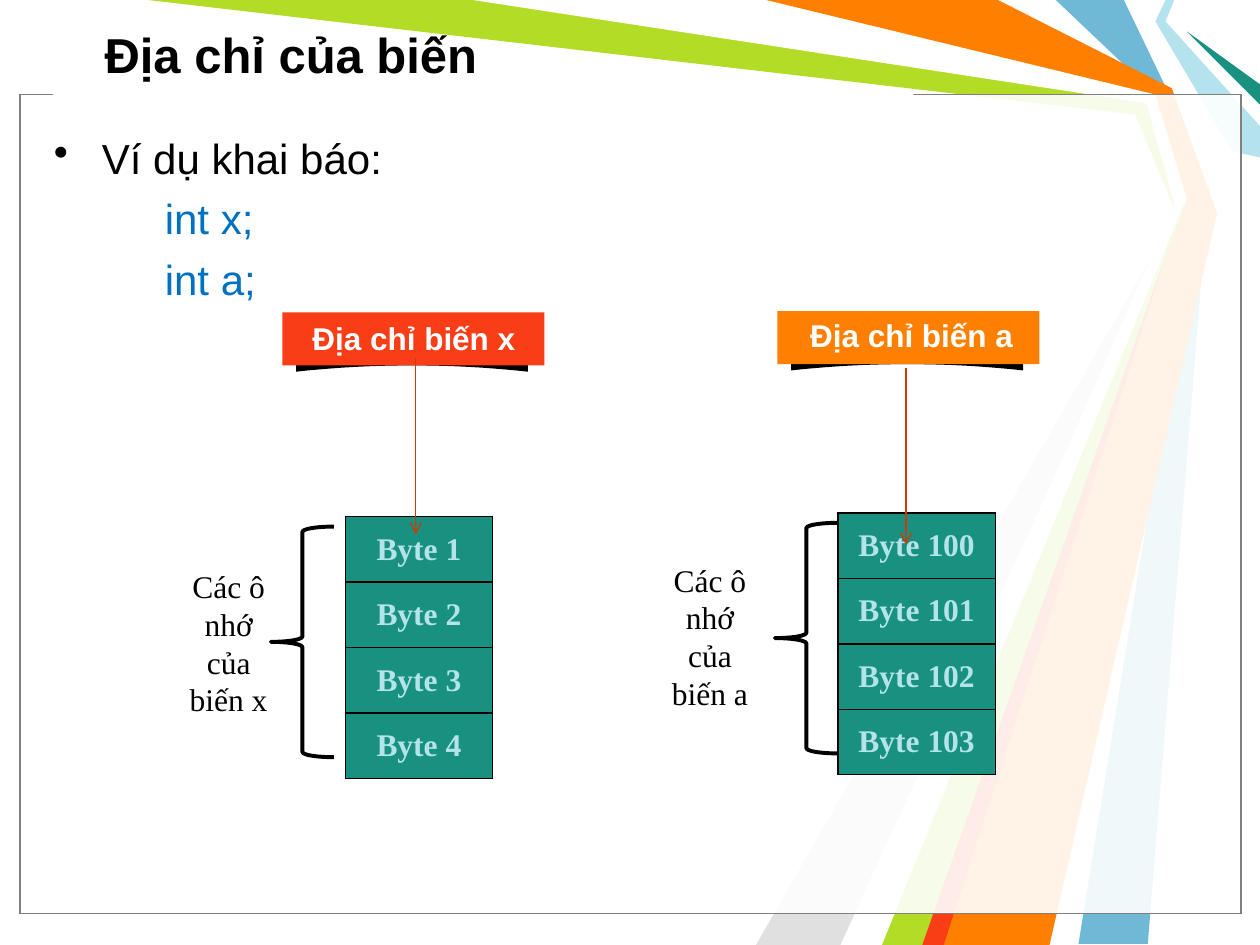
"""Build a slide showing the memory addresses of two int variables."""
import pptx
import pptx.dml.color
import pptx.enum.shapes
import pptx.enum.text
import pptx.oxml
import pptx.oxml.ns
import pptx.util

Inches, Pt = pptx.util.Inches, pptx.util.Pt
ALIGN = pptx.enum.text.PP_ALIGN
ANCHOR = pptx.enum.text.MSO_ANCHOR
SHAPE = pptx.enum.shapes.MSO_SHAPE
qn = pptx.oxml.ns.qn
NS = pptx.oxml.ns.nsdecls("a")

TITLE = "Địa chỉ của biến"
INTRO = "Ví dụ khai báo:"
CODE = ["int x;", "int a;"]

RAYS = [
    ("6FB9D7", [(8.92, 0), (9.29, 0.77), (9.58, 1.67), (9.11, 7.49), (8.56, 7.49),
                (9.5, 1.67), (9.17, 0.75), (8.38, 0)]),
    ("B3DC27", [(1.17, 0), (3.83, 0), (9.14, 0.78), (9.42, 1.69), (7.42, 7.5),
                (6.92, 7.5), (9.35, 1.73), (9.01, 0.91)]),
    ("E0E0E0", [(6.67, 7.5), (9.27, 1.81), (6, 7.5)]),
    ("FFFFFF", [(3.75, 0), (9.1, 0.82), (9.32, 1.62), (6.75, 7.5), (7, 7.5),
                (9.41, 1.58), (9.17, 0.75), (6, 0)]),
    ("B4E3EE", [(9.25, 0), (9.17, 0.17), (9.78, 1.2), (10, 1.25), (10, 1),
                (9.25, 0.17), (9.32, 0)]),
    ("189180", [(10, 0.83), (9.42, 0.25), (10, 0.67)]),
    ("FF7F00", [(6.08, 0), (7.92, 0), (9.3, 0.7), (9.66, 1.69), (8.33, 7.5),
                (7.33, 7.5), (9.42, 1.58), (9.17, 0.75)]),
    ("F93D17", [(7.32, 7.5), (9.32, 1.83), (7.49, 7.5)]),
]
FRAMES = ["000000", "808080"]

VARS = [
    dict(name="x", first=1, fill="F93D17", tag=(2.24, 2.48), label=(2.37, 2.48),
         table=(2.74, 4.1, 1.17), brace=(2.15, 4.18), note=(1.4, 4.45),
         arrow=(3.3, 2.84)),
    dict(name="a", first=100, fill="FF7F00", tag=(6.17, 2.47), label=(6.32, 2.46),
         table=(6.65, 4.07, 1.25), brace=(6.15, 4.15), note=(5.22, 4.4),
         arrow=(7.19, 2.92)),
]
BYTES, ROW, DROP = 4, 0.52, 1.4

HEAD = dict(name="Arial", size=Pt(28), bold=True)
BODY = dict(name="Arial", size=Pt(24), bold=False)
TAG = dict(name="Arial", size=Pt(18), bold=True)
NOTE = dict(name="Times New Roman", size=Pt(18), bold=False)
CELL = dict(name="Times New Roman", size=Pt(18), bold=True)

deck = pptx.Presentation()
deck.slide_width, deck.slide_height = Inches(10), Inches(7.5)
slide = deck.slides.add_slide(deck.slide_layouts[5])
shapes = slide.shapes


def color(code):
    """Turn a hex string into a colour."""
    return pptx.dml.color.RGBColor.from_string(code)


def paint(shape, fill=None, line=None, width=0.75):
    """Set fill and outline and drop the shadow."""
    shape.shadow.inherit = False
    if fill:
        shape.fill.solid()
        shape.fill.fore_color.rgb = color(fill)
    else:
        shape.fill.background()
    if line:
        shape.line.color.rgb = color(line)
        shape.line.width = Pt(width)
    else:
        shape.line.fill.background()
    return shape


def add(kind, box, **look):
    """Add a painted preset shape."""
    return paint(shapes.add_shape(kind, *map(Inches, box)), **look)


def outline(points, fill):
    """Add a closed polygon."""
    dots = [(Inches(x), Inches(y)) for x, y in points]
    pen = shapes.build_freeform(*dots[0])
    pen.add_line_segments(dots[1:], close=True)
    paint(pen.convert_to_shape(), fill)


def write(para, text, style, code, align=ALIGN.CENTER):
    """Put one styled run in a paragraph."""
    para.alignment = align
    run = para.add_run()
    run.text = text
    for key, value in style.items():
        setattr(run.font, key, value)
    run.font.color.rgb = color(code)


def textbox(box, anchor=ANCHOR.TOP, side=0.1):
    """Add a wrapping text box and return its frame."""
    frame = shapes.add_textbox(*map(Inches, box)).text_frame
    frame.word_wrap = True
    frame.vertical_anchor = anchor
    frame.margin_left = frame.margin_right = Inches(side)
    return frame


def ribbon(left, top):
    """Draw the curved dark strip under a tag."""
    mid, half = left + 1.03, 0.92
    steps = [1 - i / 10 for i in range(21)]
    curve = [(mid + half * u, top + 0.42 + 0.05 * u * u) for u in steps]
    peak = [(mid - half, top + 0.31), (mid, top + 0.26), (mid + half, top + 0.31)]
    outline(curve + peak, "000000")


def memory(left, top, width, first):
    """Add the table of byte cells."""
    size = map(Inches, (left, top, width, ROW * BYTES))
    table = shapes.add_table(BYTES, 1, *size).table
    table.first_row = table.horz_banding = False
    for i in range(BYTES):
        table.rows[i].height = Inches(ROW)
        cell = table.cell(i, 0)
        cell.vertical_anchor = ANCHOR.MIDDLE
        write(cell.text_frame.paragraphs[0], f"Byte {first + i}", CELL, "B4E3EE")
        props = cell._tc.get_or_add_tcPr()
        for side in "LRTB":
            props.append(pptx.oxml.parse_xml(
                f'<a:ln{side} {NS} w="12700"><a:solidFill><a:srgbClr val="000000"/>'
                f'</a:solidFill></a:ln{side}>'))
        cell.fill.solid()
        cell.fill.fore_color.rgb = color("189180")


def arrow(x, y):
    """Add a downward arrow."""
    ends = map(Inches, (x, y, x, y + DROP))
    link = shapes.add_connector(pptx.enum.shapes.MSO_CONNECTOR.STRAIGHT, *ends)
    link.line.color.rgb = color("D43700")
    link.line.width = Pt(0.75)
    link.line._get_or_add_ln().append(
        pptx.oxml.parse_xml(f'<a:tailEnd {NS} type="arrow"/>'))
    link._element.spPr.append(pptx.oxml.parse_xml(f"<a:effectLst {NS}/>"))


def backdrop():
    """Draw the coloured rays and the translucent frame."""
    for fill, points in RAYS:
        outline(points, fill)
    for line in FRAMES:
        pane = add(SHAPE.RECTANGLE, (0.16, 0.75, 9.69, 6.5), fill="FFFFFF", line=line)
        tint = pane._element.spPr.find(qn("a:solidFill")).find(qn("a:srgbClr"))
        tint.append(pptx.oxml.parse_xml(f'<a:alpha {NS} val="69000"/>'))
    add(SHAPE.RECTANGLE, (0.42, 0.74, 6.83, 0.17), fill="FFFFFF")


def heading():
    """Place the title and the declarations."""
    title = shapes.title
    title.left, title.top, title.width, title.height = map(
        Inches, (0.73, 0.08, 9.11, 0.69))
    title.text_frame.vertical_anchor = ANCHOR.MIDDLE
    write(title.text_frame.paragraphs[0], TITLE, HEAD, "000000", ALIGN.LEFT)
    shapes.element.append(title.element)
    frame = textbox((0.33, 1, 9.38, 6.17))
    for i, text in enumerate([INTRO] + CODE):
        para = frame.add_paragraph() if i else frame.paragraphs[0]
        write(para, text, BODY, "0070C0" if i else "000000", ALIGN.JUSTIFY)
        para.space_before = Pt(5.8)
        props = para._p.get_or_add_pPr()
        props.set("marL", str(Inches(0.88 if i else 0.38)))
        props.set("indent", str(Inches(0 if i else -0.38)))
        mark = "<a:buNone %s/>" if i else '<a:buChar %s char="•"/>'
        props.append(pptx.oxml.parse_xml(mark % NS))


backdrop()
heading()
for var in VARS:
    memory(*var["table"], var["first"])
    add(SHAPE.LEFT_BRACE, (*var["brace"], 0.5, 1.83), line="000000", width=2.25)
    note = textbox((*var["note"], 0.83, 1.31), side=0.05)
    write(note.paragraphs[0], f"Các ô nhớ của biến {var['name']}", NOTE, "000000")
    ribbon(*var["tag"])
    add(SHAPE.RECTANGLE, (*var["tag"], 2.08, 0.42), fill=var["fill"])
    label = textbox((*var["label"], 1.83, 0.4), ANCHOR.MIDDLE)
    write(label.paragraphs[0], f"Địa chỉ biến {var['name']}", TAG, "FFFFFF")
    arrow(*var["arrow"])
deck.save("out.pptx")
